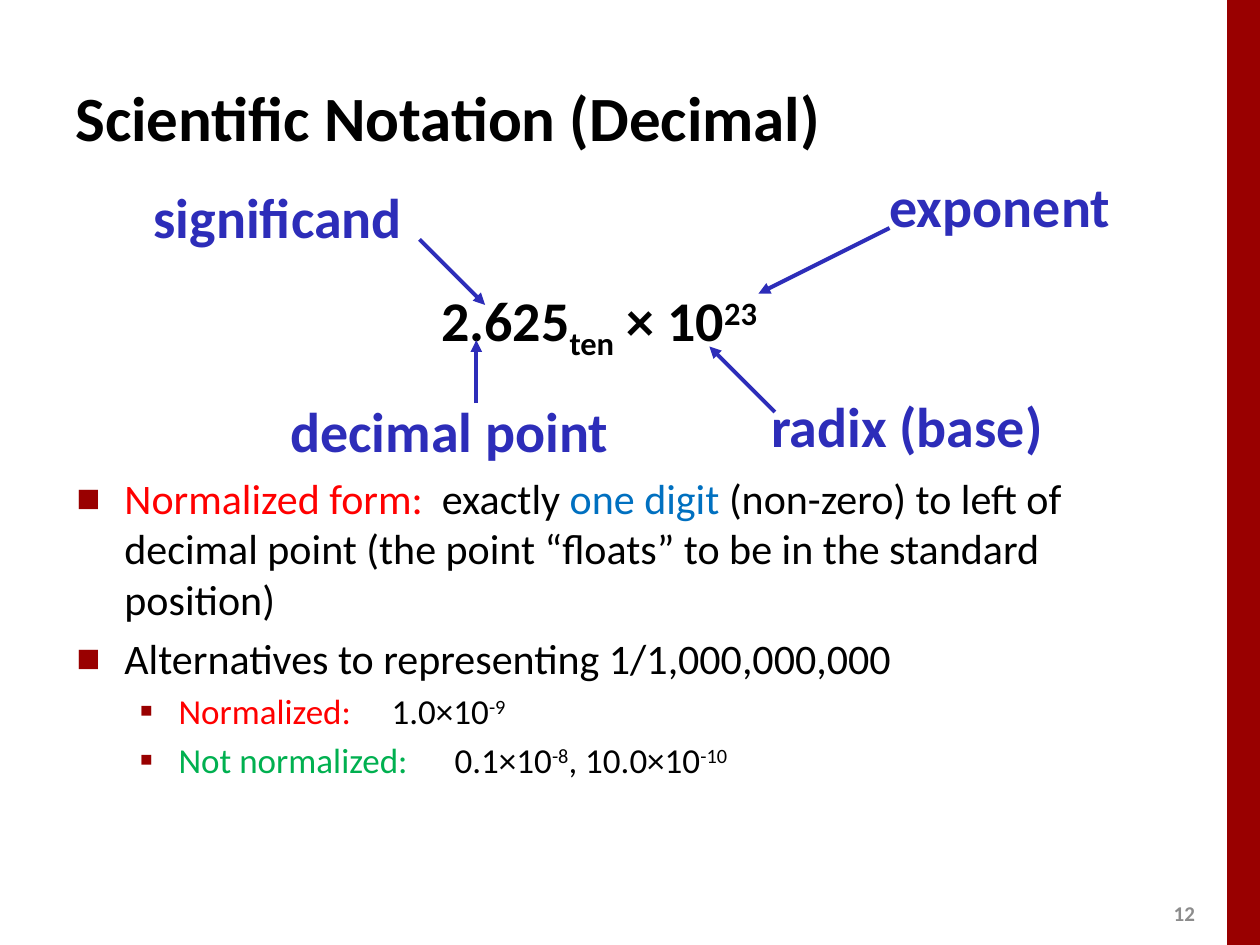
from lxml import etree
from pptx import Presentation
from pptx.dml.color import RGBColor
from pptx.enum.shapes import MSO_CONNECTOR, MSO_SHAPE
from pptx.enum.text import MSO_ANCHOR, PP_ALIGN
from pptx.oxml.ns import qn
from pptx.util import Inches, Pt

RECTANGLE = MSO_SHAPE.RECTANGLE
STRAIGHT = MSO_CONNECTOR.STRAIGHT
TOP, MIDDLE = MSO_ANCHOR.TOP, MSO_ANCHOR.MIDDLE
LEFT, CENTER, RIGHT = PP_ALIGN.LEFT, PP_ALIGN.CENTER, PP_ALIGN.RIGHT

BLACK, WHITE, GRAY = "000000", "FFFFFF", "8C8C8C"
DARK_RED, RED, GREEN = "990000", "FF0000", "00B050"
SKY, INDIGO = "0070C0", "2D2DB9"
SUBSCRIPT, SUPERSCRIPT = -25000, 30000


def color(value):
    return RGBColor.from_string(value)


class SlideBuilder:
    font = "Calibri"
    # Per level: size, left indent, hanging, space before, character, bullet percent
    levels = [
        (24, 0.38, 0.38, 5, "■", 60),
        (20, 0.81, 0.31, 4, "▪", 110),
    ]

    def __init__(self, slide):
        self.slide = slide
        fill = slide.background.fill
        fill.solid()
        fill.fore_color.rgb = color(WHITE)

    def bar(self, left, top, width, height, fill):
        shape = self.slide.shapes.add_shape(
            RECTANGLE, Inches(left), Inches(top), Inches(width), Inches(height))
        shape.shadow.inherit = False
        shape.fill.solid()
        shape.fill.fore_color.rgb = color(fill)
        shape.line.fill.background()

    def frame(self, left, top, width, height, anchor=TOP):
        box = self.slide.shapes.add_textbox(
            Inches(left), Inches(top), Inches(width), Inches(height))
        frame = box.text_frame
        frame.word_wrap = True
        frame.vertical_anchor = anchor
        return frame

    def runs(self, paragraph, parts, size, bold=False):
        """Add (text, colour[, baseline]) parts as runs."""
        for text, ink, *baseline in parts:
            run = paragraph.add_run()
            run.text = text
            run.font.name = self.font
            run.font.size = Pt(size)
            run.font.bold = bold
            run.font.color.rgb = color(ink)
            if baseline:
                run.font._element.set("baseline", str(baseline[0]))

    def line(self, place, text, size, ink, align=LEFT):
        paragraph = self.frame(*place, anchor=MIDDLE).paragraphs[0]
        paragraph.alignment = align
        self.runs(paragraph, [(text, ink)], size, bold=True)

    def label(self, place, parts, align=LEFT):
        frame = self.frame(*place)
        frame.margin_left = frame.margin_right = Inches(0.07)
        frame.margin_top = frame.margin_bottom = Inches(0.03)
        paragraph = frame.paragraphs[0]
        paragraph.alignment = align
        paragraph.line_spacing = 0.85
        self.runs(paragraph, parts, 32, bold=True)

    def arrow(self, start, end):
        connector = self.slide.shapes.add_connector(
            STRAIGHT, *(Inches(value) for value in (*start, *end)))
        connector.line.color.rgb = color(INDIGO)
        connector.line.width = Pt(2.25)
        outline = connector.line._get_or_add_ln()
        etree.SubElement(outline, qn("a:tailEnd"), type="triangle")
        etree.SubElement(connector._element.spPr, qn("a:effectLst"))

    def bullets(self, place, items):
        frame = self.frame(*place)
        for index, (level, parts) in enumerate(items):
            paragraph = frame.paragraphs[0] if index == 0 else frame.add_paragraph()
            size, indent, hanging, space, character, percent = self.levels[level]
            paragraph.level = level
            if index:
                paragraph.space_before = Pt(space)
            properties = paragraph._p.get_or_add_pPr()
            properties.set("marL", str(Inches(indent)))
            properties.set("indent", str(-Inches(hanging)))
            bullet_color = etree.SubElement(properties, qn("a:buClr"))
            etree.SubElement(bullet_color, qn("a:srgbClr"), val=DARK_RED)
            etree.SubElement(properties, qn("a:buSzPct"), val=str(percent * 1000))
            etree.SubElement(properties, qn("a:buFont"), typeface=self.font)
            etree.SubElement(properties, qn("a:buChar"), char=character)
            self.runs(paragraph, parts, size)


def main():
    presentation = Presentation()
    presentation.slide_width = Inches(10)
    presentation.slide_height = Inches(7.5)
    builder = SlideBuilder(
        presentation.slides.add_slide(presentation.slide_layouts[6]))

    builder.bar(9.74, 0, 0.26, 7.5, DARK_RED)
    builder.line((9.2, 7.1, 0.4, 0.3), "12", 12, GRAY, CENTER)
    builder.line((0.5, 0.3, 9, 1.25), "Scientific Notation (Decimal)", 36, BLACK)

    builder.bullets((0.51, 3.7, 9, 3.35), [
        (0, [("Normalized form:  ", RED), ("exactly ", BLACK), ("one digit ", SKY),
             ("(non-zero) to left of decimal point (the point “floats” "
              "to be in the standard position)", BLACK)]),
        (0, [("Alternatives to representing 1/1,000,000,000", BLACK)]),
        (1, [("Normalized: ", RED), ("\t1.0×10", BLACK),
             ("-9", BLACK, SUPERSCRIPT)]),
        (1, [("Not normalized:", GREEN), (" \t0.1×10", BLACK),
             ("-8", BLACK, SUPERSCRIPT), (", 10.0×10", BLACK),
             ("-10", BLACK, SUPERSCRIPT)]),
    ])

    builder.label((3.43, 2.27, 2.82, 0.51), [
        ("2.625", BLACK), ("ten", BLACK, SUBSCRIPT),
        (" × 10", BLACK), ("23", BLACK, SUPERSCRIPT)])

    # Each part of the number: name, place, alignment, arrow start and end
    number_parts = [
        ("radix (base)", (6.05, 3.16, 2.6, 0.52), LEFT, (6.15, 3.27), (5.63, 2.75)),
        ("decimal point", (2.2, 3.2, 2.7, 0.52), RIGHT, (3.78, 3.2), (3.78, 2.7)),
        ("significand", (1.15, 1.5, 2.6, 0.52), LEFT, (3.33, 1.9), (3.85, 2.42)),
        ("exponent", (6.99, 1.41, 2.08, 0.52), LEFT, (7.06, 1.81), (6.02, 2.33)),
    ]
    for name, place, align, start, end in number_parts:
        builder.label(place, [(name, INDIGO)], align)
        builder.arrow(start, end)

    presentation.save("out.pptx")


if __name__ == "__main__":
    main()
